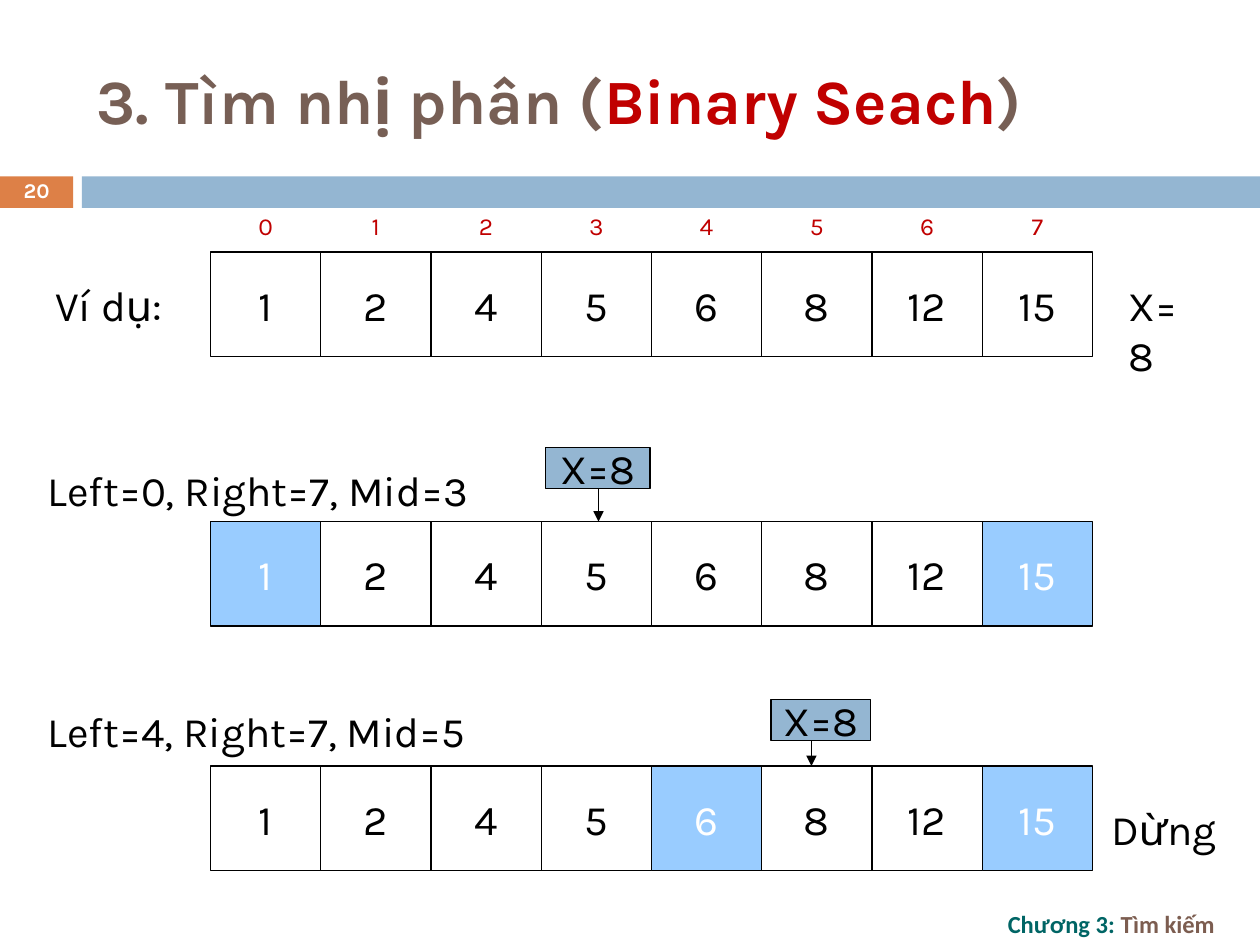
from dataclasses import dataclass
from typing import Optional

from lxml.etree import SubElement
from pptx import Presentation
from pptx.dml.color import RGBColor
from pptx.enum.shapes import MSO_CONNECTOR as Connector, MSO_SHAPE as Shape
from pptx.enum.text import MSO_ANCHOR as Anchor, MSO_AUTO_SIZE as AutoSize, PP_ALIGN as Align
from pptx.oxml.ns import qn
from pptx.util import Inches, Pt

BLACK, WHITE, RED = "000000", "FFFFFF", "C00000"
BLUE, ORANGE, HIGHLIGHT = "94B6D2", "DD8047", "99CCFF"
TITLE_BROWN, FOOTER_BROWN, GREEN = "775F55", "7C5D50", "006565"

VALUES = (1, 2, 4, 5, 6, 8, 12, 15)
ROW_LEFT, CELL_WIDTH, CELL_HEIGHT = 1.67, 0.875, 0.83
TAG_HEIGHT = 0.33


@dataclass(frozen=True)
class Box:
    left: float
    top: float
    width: float
    height: float

    def lengths(self) -> tuple:
        return tuple(Inches(v) for v in (self.left, self.top, self.width, self.height))


@dataclass(frozen=True)
class Run:
    text: str
    color: str = BLACK
    size: float = 24
    bold: bool = False
    font: str = "Karla"


@dataclass(frozen=True)
class Tag:
    box: Box
    arrow_x: float


@dataclass(frozen=True)
class Row:
    top: float
    marked: tuple = ()
    tag: Optional[Tag] = None


@dataclass(frozen=True)
class Label:
    text: str
    box: Box


ROWS = (
    Row(2.0),
    Row(4.14, (0, 7), Tag(Box(4.33, 3.55, 0.83, TAG_HEIGHT), 4.75)),
    Row(6.08, (4, 7), Tag(Box(6.12, 5.55, 0.79, TAG_HEIGHT), 6.44)),
)
LABELS = (
    Label("Ví dụ:", Box(0.34, 2.17, 1.07, 0.5)),
    Label("X=8", Box(8.86, 2.17, 0.77, 0.5)),
    Label("Left=0, Right=7, Mid=3", Box(0.28, 3.64, 3.71, 0.5)),
    Label("Left=4, Right=7, Mid=5", Box(0.28, 5.55, 3.71, 0.5)),
    Label("Dừng", Box(8.72, 6.33, 1.08, 0.5)),
)


def rgb(value: str) -> RGBColor:
    return RGBColor.from_string(value)


def apply(target, values: dict) -> None:
    for name, value in values.items():
        setattr(target, name, value)


def write(shape, runs: tuple, frame_format: dict, paragraph_format: dict) -> None:
    frame = shape.text_frame
    apply(frame, frame_format)
    paragraph = frame.paragraphs[0]
    apply(paragraph, paragraph_format)
    for item in runs:
        run = paragraph.add_run()
        run.text = item.text
        apply(run.font, {"name": item.font, "size": Pt(item.size), "bold": item.bold})
        run.font.color.rgb = rgb(item.color)


def add_text(shapes, box: Box, *runs: Run, anchor=Anchor.MIDDLE, wrap=True,
             auto_size=AutoSize.NONE, **paragraph_format) -> None:
    frame_format = {"word_wrap": wrap, "vertical_anchor": anchor, "auto_size": auto_size}
    write(shapes.add_textbox(*box.lengths()), runs, frame_format, paragraph_format)


def add_rectangle(shapes, box: Box, fill: Optional[str] = None, outlined: bool = False):
    shape = shapes.add_shape(Shape.RECTANGLE, *box.lengths())
    shape.shadow.inherit = False
    if fill:
        shape.fill.solid()
        shape.fill.fore_color.rgb = rgb(fill)
    else:
        shape.fill.background()
    if outlined:
        shape.line.color.rgb = rgb(BLACK)
        shape.line.width = Pt(0.75)
    else:
        shape.line.fill.background()
    return shape


def add_cell(shapes, box: Box, run: Run, fill: Optional[str] = None) -> None:
    write(add_rectangle(shapes, box, fill, outlined=True), (run,),
          {"word_wrap": False, "vertical_anchor": Anchor.MIDDLE},
          {"alignment": Align.CENTER})


def add_arrow(shapes, x: float, top: float, bottom: float) -> None:
    arrow = shapes.add_connector(Connector.STRAIGHT, Inches(x), Inches(top),
                                 Inches(x), Inches(bottom))
    arrow.line.color.rgb = rgb(BLACK)
    arrow.line.width = Pt(0.75)
    SubElement(arrow.line._get_or_add_ln(), qn("a:tailEnd"), type="triangle")
    SubElement(arrow._element.spPr, qn("a:effectLst"))


def cell_box(index: int, top: float, height: float = CELL_HEIGHT) -> Box:
    return Box(ROW_LEFT + index * CELL_WIDTH, top, CELL_WIDTH, height)


def add_row(slide, row: Row) -> None:
    shapes = slide.shapes.add_group_shape().shapes
    for index, value in enumerate(VALUES):
        marked = index in row.marked
        add_cell(shapes, cell_box(index, row.top),
                 Run(str(value), WHITE if marked else BLACK),
                 HIGHLIGHT if marked else None)
    if row.tag:
        add_cell(shapes, row.tag.box, Run("X=8"), BLUE)
        add_arrow(shapes, row.tag.arrow_x, row.tag.box.top + TAG_HEIGHT, row.top)


def main() -> None:
    presentation = Presentation()
    apply(presentation, {"slide_width": Inches(10), "slide_height": Inches(7.5)})
    slide = presentation.slides.add_slide(presentation.slide_layouts[6])
    shapes = slide.shapes

    # Bands, footer, title and slide number
    add_rectangle(shapes, Box(0, 1.4, 0.58, 0.25), ORANGE)
    add_rectangle(shapes, Box(0.65, 1.4, 9.35, 0.25), BLUE)
    add_text(shapes, Box(7.9, 7.17, 2.1, 0.33),
             Run("Chương 3: ", GREEN, 14, True, "Calibri"),
             Run("Tìm kiếm", FOOTER_BROWN, 14, True, "Calibri"))
    add_text(shapes, Box(0.67, 0.25, 8.92, 1.08),
             Run("3. Tìm nhị phân (", TITLE_BROWN, 36, True),
             Run("Binary Seach", RED, 36, True),
             Run(")", TITLE_BROWN, 36, True))
    add_text(shapes, Box(0, 1.39, 0.58, 0.27), Run("20", WHITE, 12, True),
             alignment=Align.CENTER, line_spacing=0.8)

    # Array at each search step
    for row in ROWS:
        add_row(slide, row)

    # Step labels
    for label in LABELS:
        add_text(shapes, label.box, Run(label.text), anchor=Anchor.TOP,
                 auto_size=AutoSize.SHAPE_TO_FIT_TEXT)

    # Array indices
    indices = shapes.add_group_shape().shapes
    for index in range(len(VALUES)):
        add_text(indices, cell_box(index, 1.67, 0.25), Run(str(index), RED, 14),
                 wrap=False, alignment=Align.CENTER)

    presentation.save("out.pptx")


if __name__ == "__main__":
    main()
